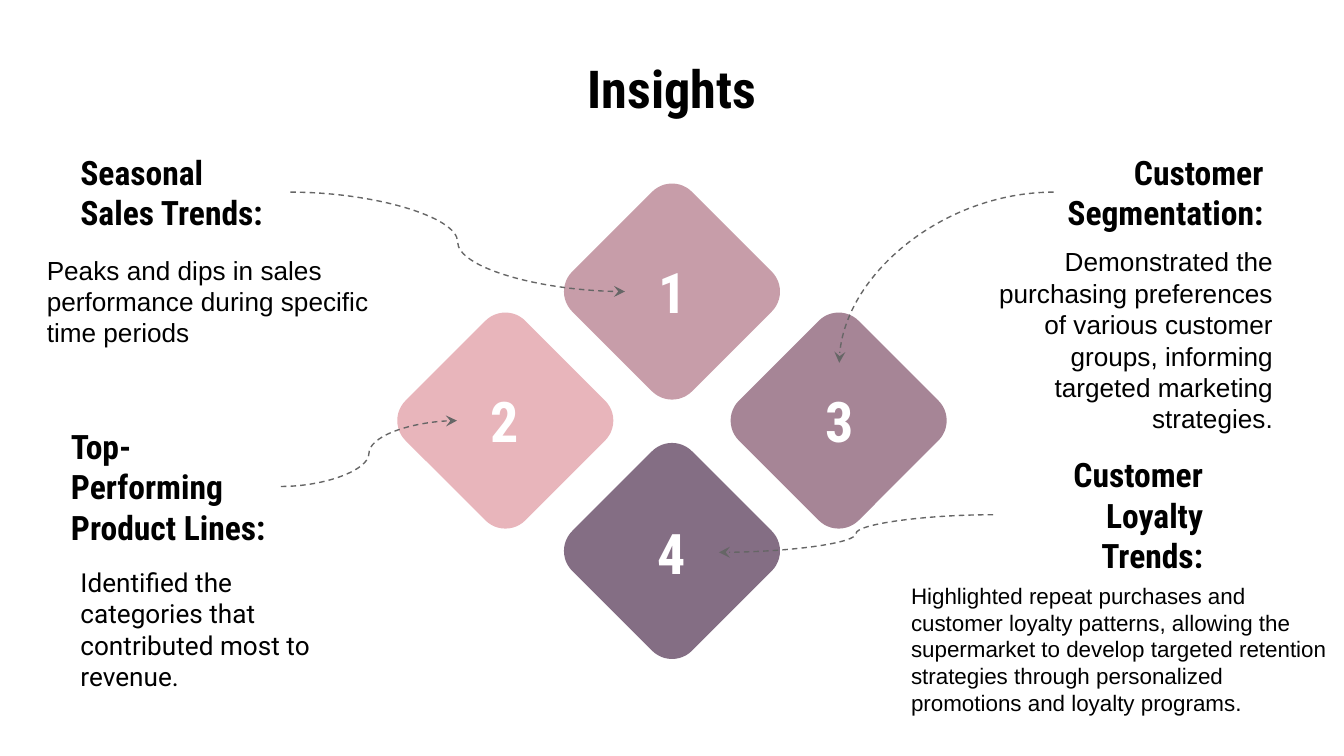
import pptx
import pptx.util
import pptx.dml.color
import pptx.enum.dml
import pptx.enum.shapes
import pptx.enum.text
import pptx.oxml
import pptx.oxml.ns
from pptx.util import Inches

COLORS = {
    "text": "000000", "number": "FFFFFF", "line": "666666",
    "rose": "C79DA9", "pink": "E8B5BB", "mauve": "A68596", "plum": "846E84",
}
ALIGN = pptx.enum.text.PP_ALIGN
ANCHOR = pptx.enum.text.MSO_ANCHOR
TOP, LEFT, BOTTOM, RIGHT = range(4)
DIAMOND = 1.26
HEADING = {"name": "Roboto Condensed", "size": pptx.util.Pt(18), "bold": True}
TITLE = {**HEADING, "size": pptx.util.Pt(28)}
NUMBER = {**HEADING, "size": pptx.util.Pt(30)}


def rgb(name):
    return pptx.dml.color.RGBColor.from_string(COLORS[name])


def add_text(place, text, font, align=ALIGN.LEFT, color="text",
             anchor=ANCHOR.MIDDLE, inset=0.1):
    box = page.shapes.add_textbox(*map(Inches, place))
    frame_format = {
        "word_wrap": True, "vertical_anchor": anchor,
        "margin_left": Inches(0.1), "margin_right": Inches(0.1),
        "margin_top": Inches(inset), "margin_bottom": Inches(inset),
    }
    for key, value in frame_format.items():
        setattr(box.text_frame, key, value)
    para = box.text_frame.paragraphs[0]
    para.alignment = align
    span = para.add_run()
    span.text = text
    for key, value in font.items():
        setattr(span.font, key, value)
    span.font.color.rgb = rgb(color)
    return box


deck = pptx.Presentation()
deck.slide_width = Inches(10)
deck.slide_height = Inches(10) * 9 // 16
page = deck.slides.add_slide(deck.slide_layouts[6])

add_text((0.5, 0.45, 9, 0.41), "Insights", TITLE, ALIGN.CENTER)

# Diamond corner and colour, number corner, heading corner and text,
# alignment, heading side and number side joined by the arrow
insights = [
    ((4.37, 1.54), "rose", (4.65, 1.74), (0.5, 1.28),
     "Seasonal Sales Trends:", ALIGN.LEFT, RIGHT, LEFT),
    ((3.13, 2.5), "pink", (3.4, 2.7), (0.43, 3.47),
     "Top-Performing Product Lines:", ALIGN.LEFT, RIGHT, LEFT),
    ((5.61, 2.5), "mauve", (5.89, 2.7), (7.84, 1.28),
     "Customer Segmentation:", ALIGN.RIGHT, LEFT, TOP),
    ((4.37, 3.47), "plum", (4.64, 3.68), (7.39, 3.68),
     "Customer Loyalty Trends:", ALIGN.RIGHT, LEFT, RIGHT),
]
joins = []
for index, (corner, color, number_at, heading_at, heading, align,
            heading_side, number_side) in enumerate(insights, 1):
    diamond = page.shapes.add_shape(
        pptx.enum.shapes.MSO_SHAPE.ROUNDED_RECTANGLE,
        *map(Inches, (*corner, DIAMOND, DIAMOND)))
    diamond.rotation = 45
    diamond.shadow.inherit = False
    diamond.fill.solid()
    diamond.fill.fore_color.rgb = rgb(color)
    diamond.line.fill.background()
    number_box = add_text((*number_at, 0.71, 0.86), str(index), NUMBER,
                          ALIGN.CENTER, "number")
    heading_box = add_text((*heading_at, 1.66, 0.3), heading, HEADING, align)
    joins.append((heading_box, heading_side, number_box, number_side))

for heading_box, heading_side, number_box, number_side in joins:
    arrow = page.shapes.add_connector(
        pptx.enum.shapes.MSO_CONNECTOR.CURVE, 0, 0, 0, 0)
    arrow.begin_connect(heading_box, heading_side)
    arrow.end_connect(number_box, number_side)
    arrow.line.color.rgb = rgb("line")
    arrow.line.width = pptx.util.Pt(0.75)
    arrow.line.dash_style = pptx.enum.dml.MSO_LINE.DASH
    properties = arrow._element.spPr
    if number_side == TOP:
        properties.find(pptx.oxml.ns.qn("a:prstGeom")).set("prst", "curvedConnector2")
    properties.find(pptx.oxml.ns.qn("a:ln")).append(pptx.oxml.parse_xml(
        f'<a:tailEnd {pptx.oxml.ns.nsdecls("a")} type="stealth"/>'))
    properties.append(pptx.oxml.parse_xml(
        f'<a:effectLst {pptx.oxml.ns.nsdecls("a")}/>'))

details = [
    ((0.25, 1.84, 2.73, 0.81), "Arial", 14, ALIGN.LEFT, ANCHOR.TOP, 0.05,
     "Peaks and dips in sales performance during specific time periods"),
    ((0.5, 4.46, 2.25, 0.44), "Roboto", 14, ALIGN.LEFT, ANCHOR.MIDDLE, 0.1,
     "Identified the categories that contributed most to revenue."),
    ((7.32, 2.31, 2.25, 0.44), "Arial", 14, ALIGN.RIGHT, ANCHOR.MIDDLE, 0.1,
     "Demonstrated the purchasing preferences of various customer groups, "
     "informing targeted marketing strategies."),
    ((6.68, 4.28, 3.32, 1.11), "Arial", 12, ALIGN.LEFT, ANCHOR.TOP, 0.05,
     "Highlighted repeat purchases and customer loyalty patterns, allowing the "
     "supermarket to develop targeted retention strategies through personalized "
     "promotions and loyalty programs."),
]
for place, font_name, size, align, anchor, inset, text in details:
    add_text(place, text, {"name": font_name, "size": pptx.util.Pt(size)},
             align, anchor=anchor, inset=inset)

deck.save("out.pptx")
